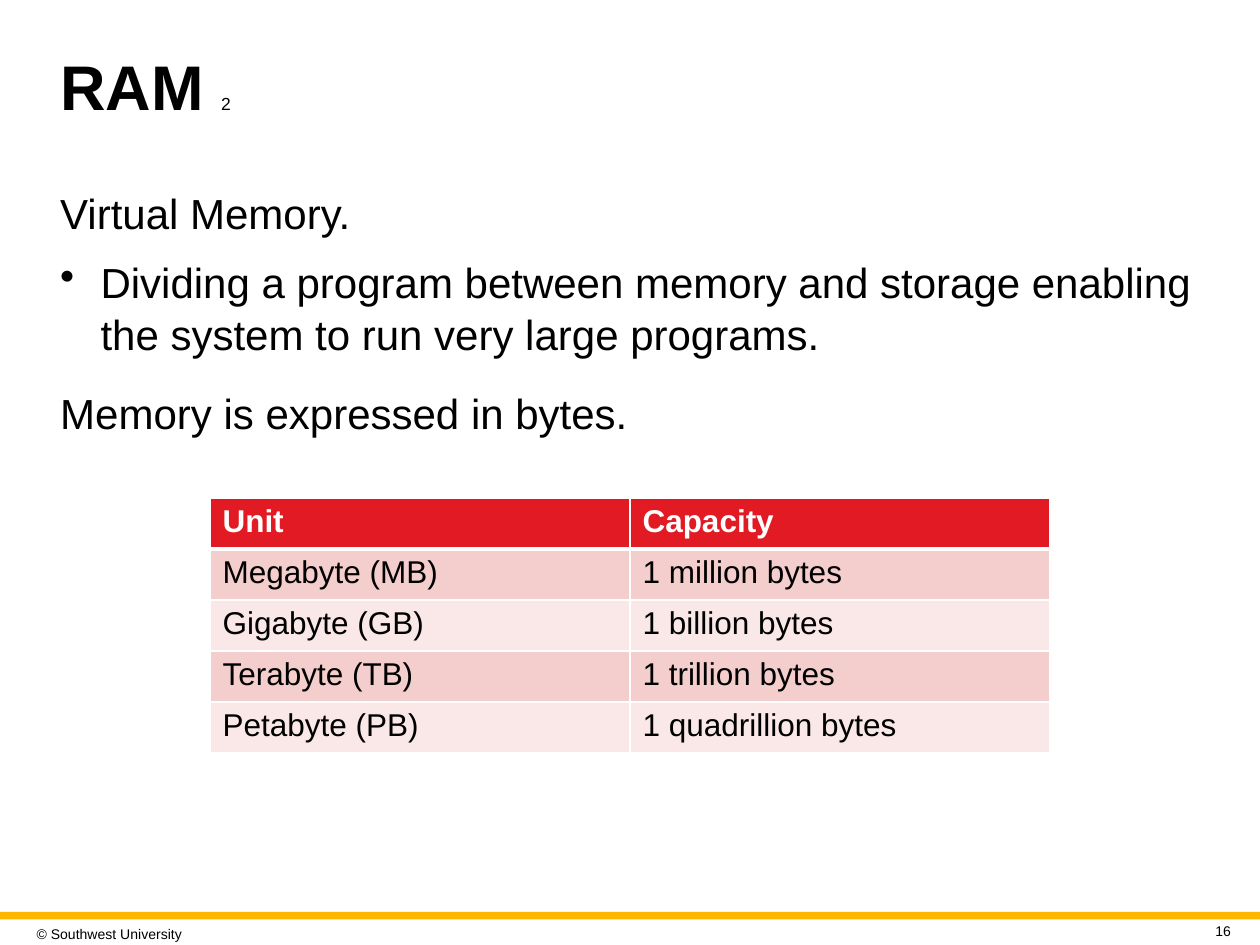
"""Build a slide on virtual memory with a table of memory units."""
import pptx
import pptx.util
import pptx.dml.color
import pptx.enum.shapes
import pptx.enum.text
import pptx.oxml.ns
import lxml.etree

COLORS = {
    "text": "000000",
    "white": "FFFFFF",
    "gold": "FFB600",
    "header": "E21A23",
    "odd": "F4CDCD",
    "even": "FAE8E8",
}
ANCHOR = pptx.enum.text.MSO_ANCHOR
ALIGN = pptx.enum.text.PP_ALIGN
Inches = pptx.util.Inches

presentation = pptx.Presentation()
presentation.slide_width = Inches(10)
presentation.slide_height = Inches(7.5)
WIDTH = presentation.slide_width
HEIGHT = presentation.slide_height
slide = presentation.slides.add_slide(presentation.slide_layouts[6])
MARGIN = 0.038 * WIDTH
CONTENT = WIDTH - 2 * MARGIN


def add_run(paragraph, text, size, color="text", bold=False):
    run = paragraph.add_run()
    run.text = text
    run.font.name = "Arial"
    run.font.size = pptx.util.Pt(size)
    run.font.bold = bold
    run.font.color.rgb = pptx.dml.color.RGBColor.from_string(COLORS[color])


def add_box(left, top, width, height, anchor=ANCHOR.MIDDLE, inset=0.05, wrap=True):
    box = slide.shapes.add_textbox(int(left), int(top), int(width), int(height))
    frame = box.text_frame
    frame.word_wrap = wrap
    frame.vertical_anchor = anchor
    frame.margin_left = frame.margin_right = Inches(inset)
    return frame


footer_bar = slide.shapes.add_shape(
    pptx.enum.shapes.MSO_SHAPE.RECTANGLE, 0, int(0.965 * HEIGHT), WIDTH, int(0.008 * HEIGHT))
footer_bar.shadow.inherit = False
footer_bar.fill.solid()
footer_bar.fill.fore_color.rgb = pptx.dml.color.RGBColor.from_string(COLORS["gold"])
footer_bar.line.fill.background()

copyright_frame = add_box(0.024 * WIDTH, 0.972 * HEIGHT, 0.135 * WIDTH, 0.032 * HEIGHT, wrap=False)
add_run(copyright_frame.paragraphs[0], "© Southwest University", 8)

title = add_box(MARGIN, 0.035 * HEIGHT, CONTENT, 0.12 * HEIGHT, inset=0.1).paragraphs[0]
title.line_spacing = 0.9
add_run(title, "RAM ", 36, bold=True)
add_run(title, "2", 10)

bodies = [
    (0.187, 0.195, [
        ("Virtual Memory.", False),
        ("Dividing a program between memory and storage enabling "
         "the system to run very large programs.", True),
    ]),
    (0.399, 0.075, [("Memory is expressed in bytes.", False)]),
]
for top, height, lines in bodies:
    frame = add_box(MARGIN, top * HEIGHT, CONTENT, height * HEIGHT, ANCHOR.TOP, 0.1)
    frame.margin_top = Inches(0.07)
    for index, (text, bulleted) in enumerate(lines):
        paragraph = frame.add_paragraph() if index else frame.paragraphs[0]
        if bulleted:
            properties = paragraph._p.get_or_add_pPr()
            properties.set("marL", str(Inches(0.32)))
            properties.set("indent", str(-Inches(0.32)))
            lxml.etree.SubElement(properties, pptx.oxml.ns.qn("a:buChar"), char="•")
        paragraph.line_spacing = 1.03
        if index:
            paragraph.space_before = pptx.util.Pt(10)
        add_run(paragraph, text, 24)

rows = [
    ("Unit", "Capacity"),
    ("Megabyte (MB)", "1 million bytes"),
    ("Gigabyte (GB)", "1 billion bytes"),
    ("Terabyte (TB)", "1 trillion bytes"),
    ("Petabyte (PB)", "1 quadrillion bytes"),
]
table = slide.shapes.add_table(
    len(rows), 2, WIDTH // 6, int(0.527 * HEIGHT), WIDTH * 2 // 3, int(0.27 * HEIGHT)).table
for row_index, row in enumerate(rows):
    is_header = row_index == 0
    fill = "header" if is_header else ("odd" if row_index % 2 else "even")
    for column_index, text in enumerate(row):
        cell = table.cell(row_index, column_index)
        add_run(cell.text_frame.paragraphs[0], text, 18,
                "white" if is_header else "text", is_header)
        properties = cell._tc.get_or_add_tcPr()
        for side in ("lnL", "lnR", "lnT", "lnB"):
            thick = (row_index, side) in ((0, "lnB"), (1, "lnT"))
            border = lxml.etree.SubElement(
                properties, pptx.oxml.ns.qn("a:" + side), w=str(pptx.util.Pt(3 if thick else 1)))
            solid = lxml.etree.SubElement(border, pptx.oxml.ns.qn("a:solidFill"))
            lxml.etree.SubElement(solid, pptx.oxml.ns.qn("a:srgbClr"), val=COLORS["white"])
        cell.fill.solid()
        cell.fill.fore_color.rgb = pptx.dml.color.RGBColor.from_string(COLORS[fill])

number = add_box(0.943 * WIDTH, 0.973 * HEIGHT, 0.039 * WIDTH, 0.024 * HEIGHT).paragraphs[0]
number.alignment = ALIGN.RIGHT
add_run(number, "16", 8)

presentation.save("out.pptx")
